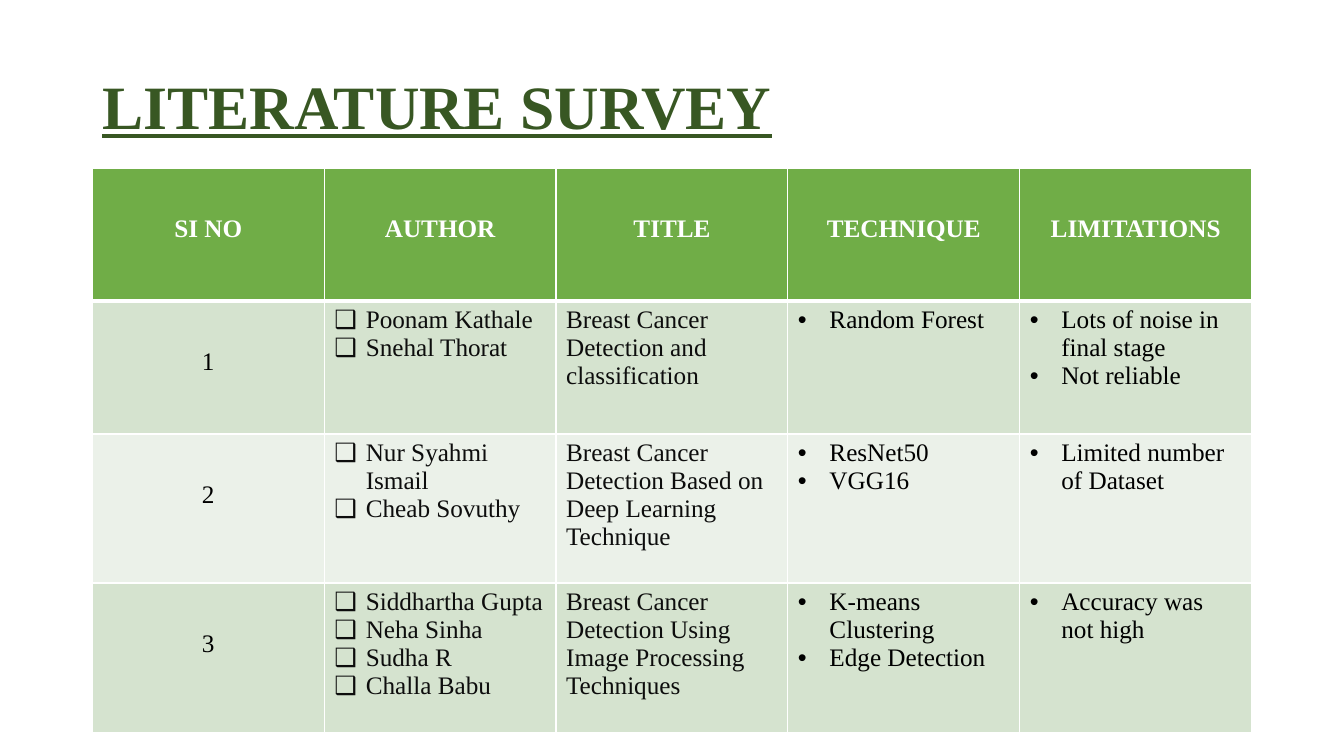
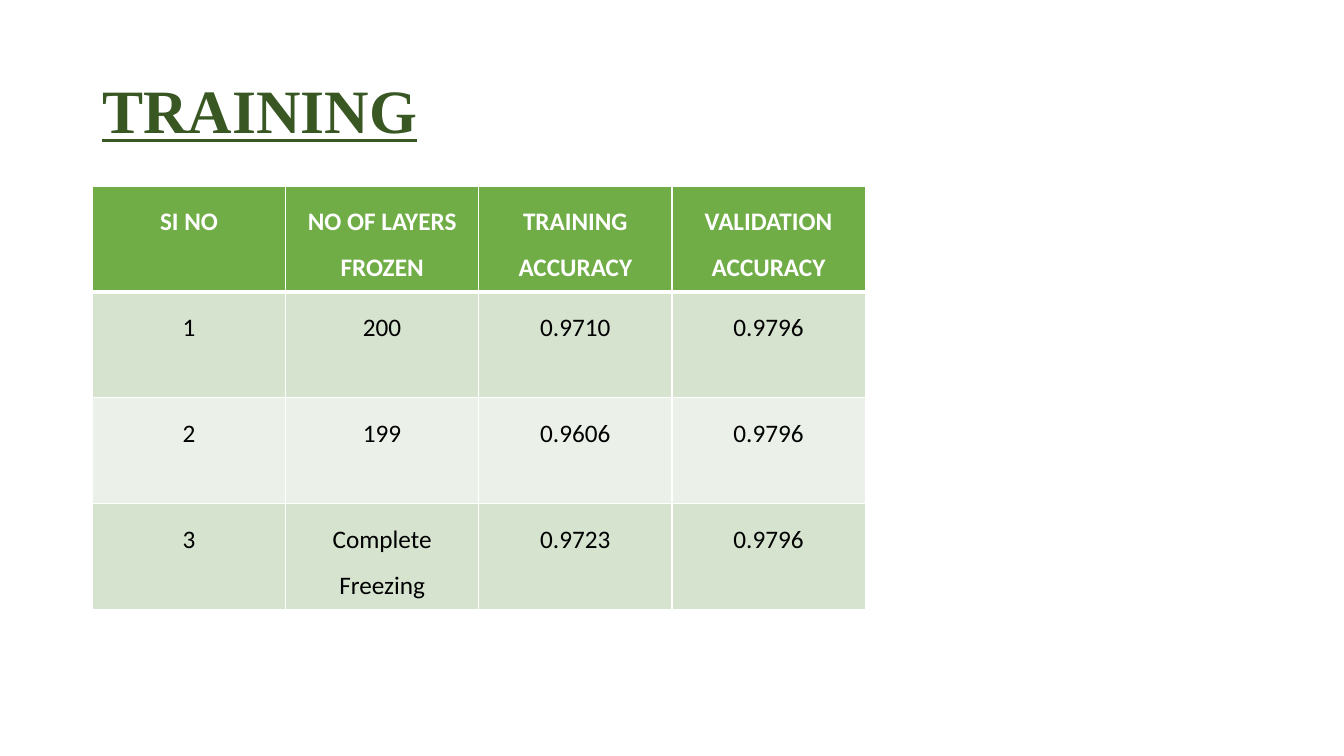
from dataclasses import dataclass

from pptx import Presentation
from pptx.dml.color import RGBColor as RGB
from pptx.enum.text import MSO_ANCHOR as ANCHOR, PP_ALIGN as ALIGN
from pptx.oxml import parse_xml
from pptx.oxml.ns import nsdecls
from pptx.util import Pt


@dataclass(frozen=True)
class Theme:
    title_color: str = "385723"
    header_fill: str = "70AD47"
    band_fills: tuple = ("D5E3CF", "EBF1E9")
    white: str = "FFFFFF"
    text: str = "000000"
    soft_text: str = "0D0D0D"
    serif: str = "Times New Roman"
    sans: str = "Calibri"
    title_size: float = 44
    table_size: float = 18
    thin: float = 1
    thick: float = 3
    indent: float = 22.5


@dataclass(frozen=True)
class Column:
    header: str
    bullet: str = ""
    centered: bool = False
    color: str = Theme.text


THEME = Theme()
LEFT, CONTENT_WIDTH = 66, 828

SURVEY_COLUMNS = [
    Column("SI NO", centered=True),
    Column("AUTHOR", bullet="❑", color=THEME.soft_text),
    Column("TITLE", color=THEME.soft_text),
    Column("TECHNIQUE", bullet="•"),
    Column("LIMITATIONS", bullet="•"),
]
SURVEY_ROWS = [
    ["1", "Poonam Kathale\nSnehal Thorat",
     "Breast Cancer Detection and classification",
     "Random Forest", "Lots of noise in final stage\nNot reliable"],
    ["2", "Nur Syahmi Ismail\nCheab Sovuthy",
     "Breast Cancer Detection Based on Deep Learning Technique",
     "ResNet50\nVGG16", "Limited number of Dataset"],
    ["3", "Siddhartha Gupta\nNeha Sinha\nSudha R\nChalla Babu",
     "Breast Cancer Detection Using Image Processing Techniques",
     "K-means Clustering\nEdge Detection", "Accuracy was not high"],
]

TRAINING_COLUMNS = [
    Column(header, centered=True)
    for header in ("SI NO", "NO OF LAYERS FROZEN",
                   "TRAINING ACCURACY", "VALIDATION ACCURACY")
]
TRAINING_ROWS = [
    ["1", "200", "0.9710", "0.9796"],
    ["2", "199", "0.9606", "0.9796"],
    ["3", "Complete Freezing", "0.9723", "0.9796"],
]


def style_runs(p, font, size, color, bold, underline=False):
    for r in p.runs:
        r.font.name = font
        r.font.size = Pt(size)
        r.font.color.rgb = RGB.from_string(color)
        r.font.bold = bold
        r.font.underline = underline


def add_bullet(p, char):
    pPr = p._p.get_or_add_pPr()
    indent = Pt(THEME.indent)
    pPr.set("marL", str(indent))
    pPr.set("indent", str(-indent))
    pPr.append(parse_xml(f'<a:buFont {nsdecls("a")} typeface="Arial"/>'))
    pPr.append(parse_xml(f'<a:buChar {nsdecls("a")} char="{char}"/>'))


def add_borders(cell, top, bottom):
    """Draw white cell borders; call before filling, as the schema orders it."""
    tcPr = cell._tc.get_or_add_tcPr()
    sides = {"L": THEME.thin, "R": THEME.thin, "T": top, "B": bottom}
    for side, width in sides.items():
        tcPr.append(parse_xml(
            f'<a:ln{side} {nsdecls("a")} w="{Pt(width)}"><a:solidFill>'
            f'<a:srgbClr val="{THEME.white}"/></a:solidFill></a:ln{side}>'))


def add_title(slide, text, top):
    sp = slide.shapes.title
    sp.left, sp.top = Pt(LEFT), Pt(top)
    sp.width, sp.height = Pt(CONTENT_WIDTH), Pt(104.4)
    tf = sp.text_frame
    tf.text = text
    tf.vertical_anchor = ANCHOR.MIDDLE
    p = tf.paragraphs[0]
    p.alignment = ALIGN.LEFT
    p.line_spacing = 0.9
    style_runs(p, THEME.serif, THEME.title_size, THEME.title_color, True, True)


def fill_cell(cell, text, column, row, font, spacing):
    """Fill one cell; row 0 is the header, spacing applies to centred text."""
    is_header = row == 0
    add_borders(cell,
                top=THEME.thick if row == 1 else THEME.thin,
                bottom=THEME.thick if is_header else THEME.thin)
    cell.fill.solid()
    cell.fill.fore_color.rgb = RGB.from_string(
        THEME.header_fill if is_header else THEME.band_fills[(row - 1) % 2])
    tf = cell.text_frame
    tf.text = text
    for p in tf.paragraphs:
        if is_header or column.centered:
            p.alignment = ALIGN.CENTER
            p.line_spacing = spacing
        elif column.bullet:
            add_bullet(p, column.bullet)
        style_runs(p, font, THEME.table_size,
                   THEME.white if is_header else column.color, is_header)


def add_banded_table(slide, columns, rows, top, width, heights, font, spacing):
    table = slide.shapes.add_table(
        len(heights), len(columns),
        Pt(LEFT), Pt(top), Pt(width), Pt(sum(heights))).table
    for col in table.columns:
        col.width = Pt(width / len(columns))
    headers = [column.header for column in columns]
    for i, (height, texts) in enumerate(zip(heights, [headers, *rows])):
        table.rows[i].height = Pt(height)
        for j, (column, text) in enumerate(zip(columns, texts)):
            fill_cell(table.cell(i, j), text, column, i, font, spacing)


def add_table_slide(prs, title, title_top, **table):
    slide = prs.slides.add_slide(prs.slide_layouts.get_by_name("Title Only"))
    add_title(slide, title, title_top)
    add_banded_table(slide, **table)


def main():
    prs = Presentation()
    prs.slide_width, prs.slide_height = Pt(960), Pt(540)
    add_table_slide(prs, "LITERATURE SURVEY", 26,
                    columns=SURVEY_COLUMNS, rows=SURVEY_ROWS,
                    top=120, width=CONTENT_WIDTH,
                    heights=[95, 95, 106.5, 106.5],
                    font=THEME.serif, spacing=2.5)
    add_table_slide(prs, "TRAINING", 29,
                    columns=TRAINING_COLUMNS, rows=TRAINING_ROWS,
                    top=133, width=552, heights=[75.6] * 4,
                    font=THEME.sans, spacing=1.5)
    prs.save("out.pptx")


if __name__ == "__main__":
    main()
